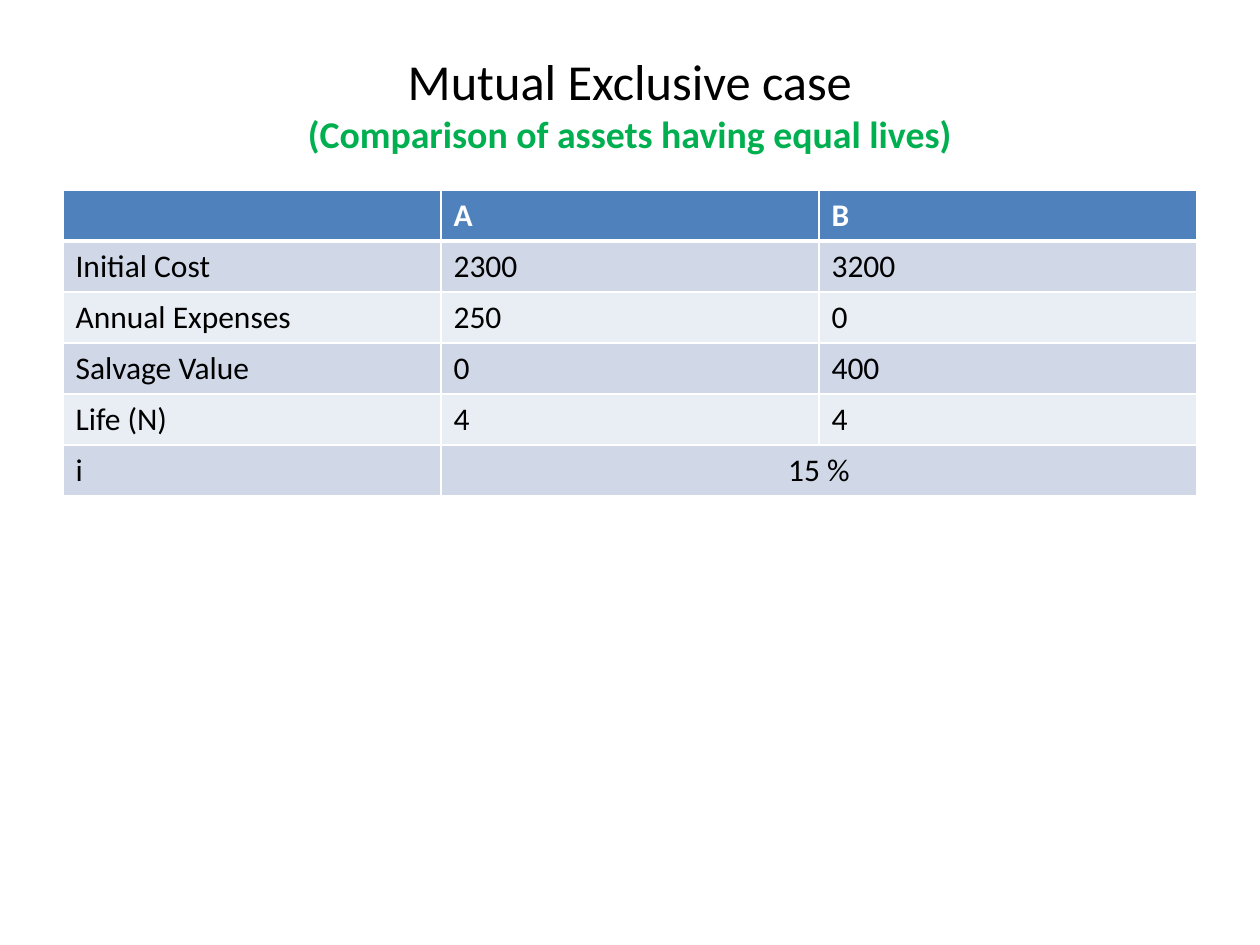
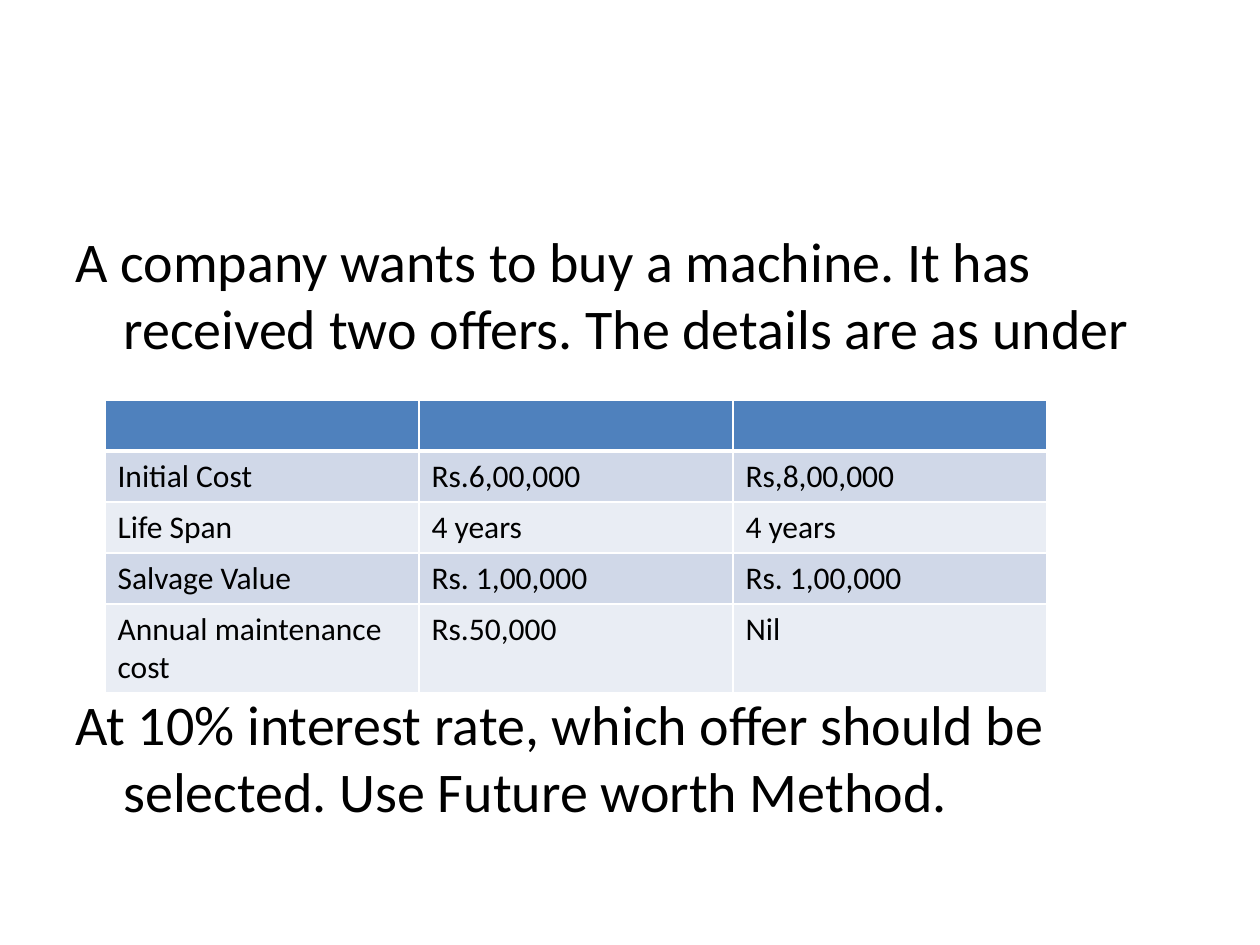
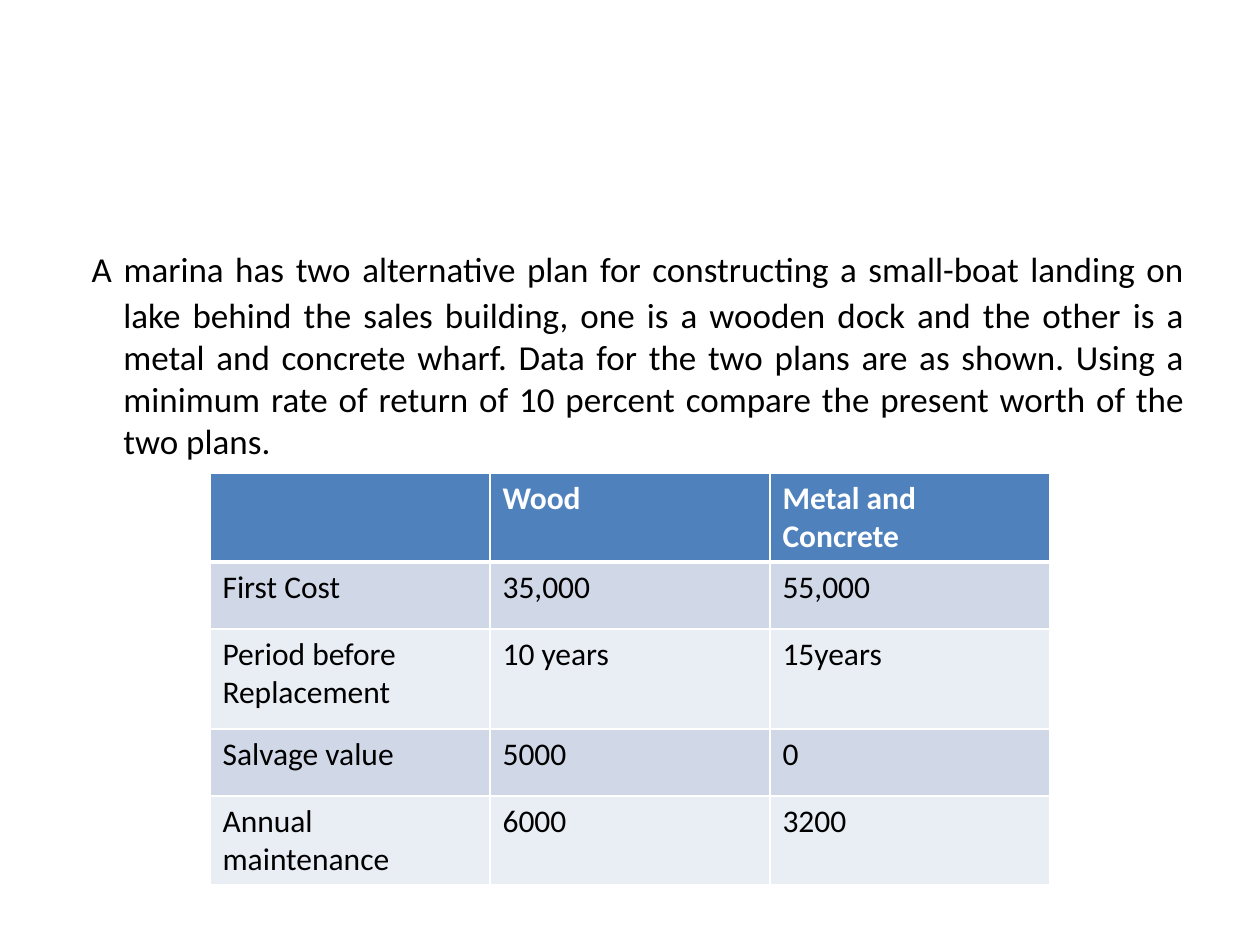
"""Build three slides comparing mutually exclusive assets."""
from pptx import Presentation
from pptx.dml.color import RGBColor
from pptx.enum.text import MSO_ANCHOR as ANCHOR, PP_ALIGN as ALIGN
from pptx.oxml.ns import qn
from pptx.util import Emu, Pt
from lxml.etree import SubElement

BLACK = RGBColor(0x00, 0x00, 0x00)
WHITE = RGBColor(0xFF, 0xFF, 0xFF)
GREEN = RGBColor(0x00, 0xB0, 0x50)
HEADER = RGBColor(0x4F, 0x81, 0xBD)
BANDS = RGBColor(0xD0, 0xD8, 0xE8), RGBColor(0xE9, 0xED, 0xF4)
FONT = "Calibri"
TITLE_BOX = 63, 38, 1134, 130
BODY_BOX = 63, 220, 1134, 624
INDENT = 48

TITLE = "Mutual Exclusive case"
SUBTITLE = "(Comparison of assets having equal lives)"
OFFER_PARAGRAPHS = [
    (3, ALIGN.LEFT, [("A company wants to buy a machine. It has received two offers. "
                      "The details are as under", 32)]),
    (188, ALIGN.LEFT, [("At 10% interest rate, which offer should be selected. "
                        "Use Future worth Method.", 32)]),
]
MARINA_PARAGRAPHS = [
    (3, ALIGN.JUSTIFY, [
        (" ", 32),
        ("A marina has two alternative plan for constructing a small-boat landing on lake "
         "behind the sales building, one is a wooden dock and the other is a metal and "
         "concrete wharf. Data for the two plans are as shown. Using a minimum rate of "
         "return of 10 percent compare the present worth of the two plans.", 20)]),
]
ASSETS = {
    "at": (63, 190), "col_width": 378, "row_heights": [51] * 6,
    "rows": [
        ("", "A", "B"),
        ("Initial Cost", "2300", "3200"),
        ("Annual Expenses", "250", "0"),
        ("Salvage Value", "0", "400"),
        ("Life (N)", "4", "4"),
        ("i", "15 %"),
    ],
}
OFFERS = {
    "at": (105, 400), "col_width": 314, "row_heights": [51] * 4 + [89],
    "rows": [
        ("", "", ""),
        ("Initial Cost", "Rs.6,00,000", "Rs,8,00,000"),
        ("Life Span", "4 years", "4 years"),
        ("Salvage Value", "Rs. 1,00,000", "Rs. 1,00,000"),
        ("Annual maintenance cost", "Rs.50,000", "Nil"),
    ],
}
DOCKS = {
    "at": (210, 473), "col_width": 280, "row_heights": [89, 67, 100, 67, 89],
    "rows": [
        ("", "Wood", "Metal and Concrete"),
        ("First Cost", "35,000", "55,000"),
        ("Period before Replacement", "10 years", "15years"),
        ("Salvage value", "5000", "0"),
        ("Annual maintenance", "6000", "3200"),
    ],
}


def px(n):
    return Emu(round(n * 914400 / 126))


def add_run(p, text, size, color=BLACK, bold=False):
    r = p.add_run()
    r.text = text
    r.font.name, r.font.size, r.font.bold = FONT, Pt(size), bold
    r.font.color.rgb = color


def add_text_frame(s, box):
    tf = s.shapes.add_textbox(*map(px, box)).text_frame
    tf.word_wrap = True
    return tf


def add_title(s):
    tf = add_text_frame(s, TITLE_BOX)
    tf.vertical_anchor = ANCHOR.MIDDLE
    p = tf.paragraphs[0]
    p.alignment = ALIGN.CENTER
    add_run(p, TITLE, 28.8)
    p.add_line_break()
    add_run(p, SUBTITLE, 21.6, GREEN, True)


def add_body(s, paragraphs):
    tf = add_text_frame(s, BODY_BOX)
    for i, (space, align, runs) in enumerate(paragraphs):
        p = tf.add_paragraph() if i else tf.paragraphs[0]
        p.alignment, p.space_before = align, Pt(space)
        pPr = p._p.get_or_add_pPr()
        pPr.set("marL", str(px(INDENT)))
        pPr.set("indent", str(-px(INDENT)))
        for text, size in runs:
            add_run(p, text, size)


def style_cell(cell, row):
    tcPr = cell._tc.get_or_add_tcPr()
    widths = {"L": 1, "R": 1, "T": 3 if row == 1 else 1, "B": 1 if row else 3}
    for side, width in widths.items():
        ln = SubElement(tcPr, qn(f"a:ln{side}"), w=str(Pt(width)))
        fill = SubElement(ln, qn("a:solidFill"))
        SubElement(fill, qn("a:srgbClr"), val=str(WHITE))
    cell.fill.solid()
    cell.fill.fore_color.rgb = BANDS[(row - 1) % 2] if row else HEADER


def add_comparison(s, data):
    rows, heights, width = data["rows"], data["row_heights"], data["col_width"]
    n_cols = len(rows[0])
    table = s.shapes.add_table(len(rows), n_cols, *map(
        px, (*data["at"], width * n_cols, sum(heights)))).table
    for col in table.columns:
        col.width = px(width)
    for i, (values, height) in enumerate(zip(rows, heights)):
        table.rows[i].height = px(height)
        for j in range(n_cols):
            style_cell(table.cell(i, j), i)
        for j, value in enumerate(values):
            if value:
                p = table.cell(i, j).text_frame.paragraphs[0]
                add_run(p, value, 18, BLACK if i else WHITE, i == 0)
        if len(values) < n_cols:
            last = table.cell(i, len(values) - 1)
            last.merge(table.cell(i, n_cols - 1))
            last.text_frame.paragraphs[0].alignment = ALIGN.CENTER


def main():
    prs = Presentation()
    prs.slide_width, prs.slide_height = px(1260), px(945)
    assets, offers, docks = (prs.slides.add_slide(prs.slide_layouts[6]) for _ in range(3))
    add_title(assets)
    add_comparison(assets, ASSETS)
    add_body(offers, OFFER_PARAGRAPHS)
    add_comparison(offers, OFFERS)
    add_body(docks, MARINA_PARAGRAPHS)
    add_comparison(docks, DOCKS)
    prs.save("out.pptx")


if __name__ == "__main__":
    main()
